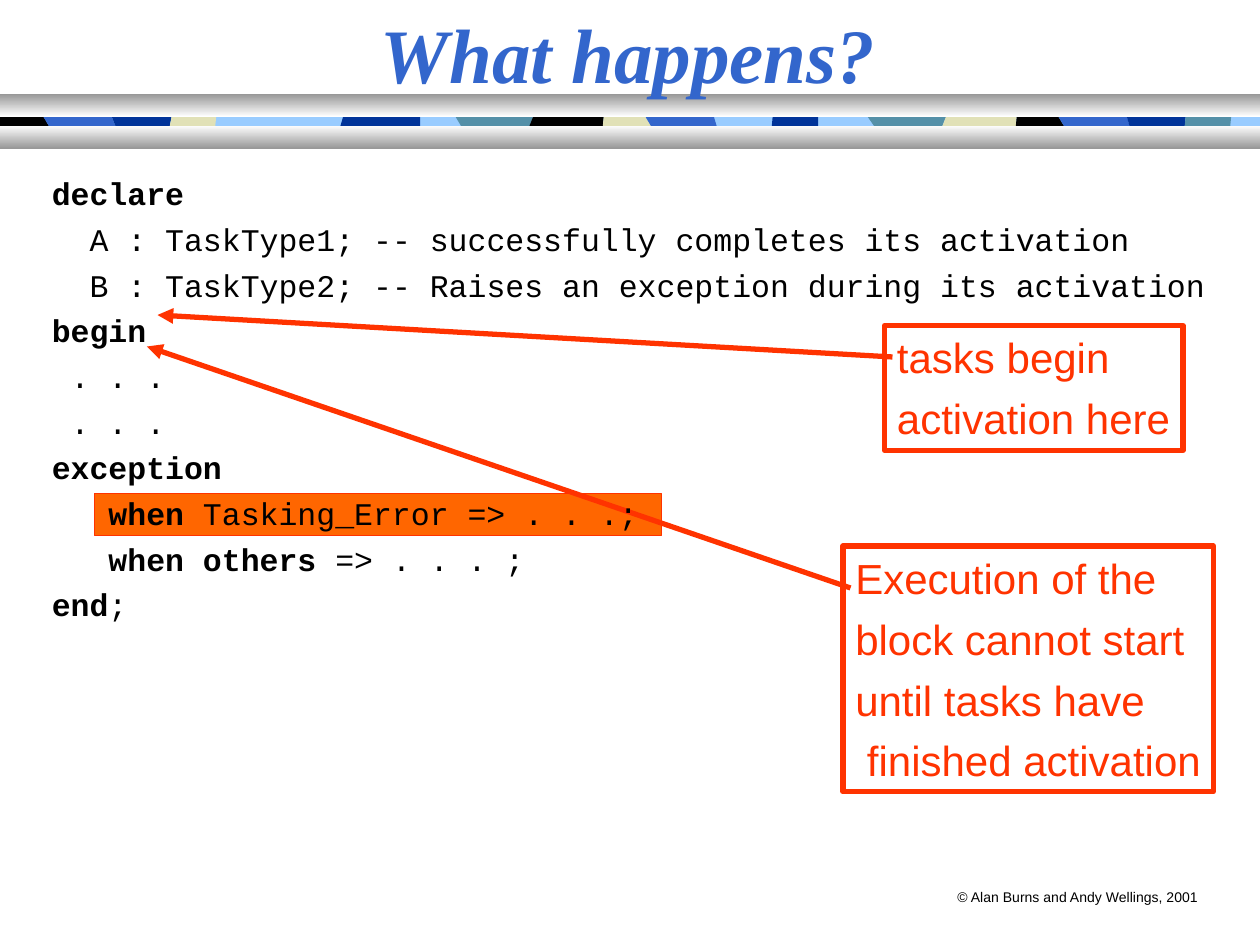
import pptx
import pptx.dml.color
import pptx.enum.dml
import pptx.enum.shapes
import pptx.enum.text
import pptx.oxml
import pptx.oxml.ns
import pptx.util

Pt = pptx.util.Pt
RGBColor = pptx.dml.color.RGBColor
qn = pptx.oxml.ns.qn

BLACK = RGBColor(0x00, 0x00, 0x00)
WHITE = RGBColor(0xFF, 0xFF, 0xFF)
GRAY = RGBColor(0x98, 0x98, 0x98)
SKY = RGBColor(0x99, 0xCC, 0xFF)
BLUE = RGBColor(0x33, 0x66, 0xCC)
NAVY = RGBColor(0x00, 0x33, 0x99)
TEAL = RGBColor(0x54, 0x90, 0xA8)
BEIGE = RGBColor(0xE1, 0xE1, 0xB7)
ORANGE = RGBColor(0xFF, 0x66, 0x00)
RED = RGBColor(0xFF, 0x33, 0x00)


def add_run(paragraph, text, font_name, size, color, bold=False, italic=False):
    run = paragraph.add_run()
    run.text = text
    run.font.name = font_name
    run.font.size = Pt(size)
    run.font.color.rgb = color
    run.font.bold = bold
    run.font.italic = italic


def add_rectangle(left, top, width, height):
    shape = slide.shapes.add_shape(
        pptx.enum.shapes.MSO_SHAPE.RECTANGLE, Pt(left), Pt(top), Pt(width), Pt(height))
    shape.shadow.inherit = False
    return shape


presentation = pptx.Presentation()
presentation.slide_width = Pt(720)
presentation.slide_height = Pt(540)
slide = presentation.slides.add_slide(presentation.slide_layouts[6])

strip_top, strip_bottom = 61.2, 81.4
strip = add_rectangle(0, strip_top, 720, strip_bottom - strip_top)
strip.fill.solid()
strip.fill.fore_color.rgb = SKY
strip.line.fill.background()

segments = [
    (BLACK, 25, 28), (BLUE, 64, 66), (NAVY, 98, 97), (BEIGE, 123.5, 123),
    (SKY, 196, 194.5), (NAVY, 240, 240), (SKY, 260.5, 263.5),
    (TEAL, 304.5, 302.5), (BLACK, 345, 344.5), (BEIGE, 369, 372),
    (BLUE, 408, 409.5), (SKY, 441.5, 441), (NAVY, 467.5, 467.5),
    (SKY, 496, 499.5), (TEAL, 540.5, 538.5), (BEIGE, 581, 580.5),
    (BLACK, 605, 608), (BLUE, 644, 645.5), (NAVY, 677.5, 677), (TEAL, 703.5, 703),
]
left_upper = left_lower = 0
for color, right_upper, right_lower in segments:
    if color != SKY:
        outline = [
            (left_upper, strip_top), (right_upper, strip_top),
            (right_upper, 67), (right_lower, 72),
            (right_lower, strip_bottom), (left_lower, strip_bottom),
            (left_lower, 72), (left_upper, 67),
        ]
        points = [(Pt(x), Pt(y)) for x, y in outline]
        builder = slide.shapes.build_freeform(*points[0], scale=1.0)
        builder.add_line_segments(points[1:], close=True)
        segment = builder.convert_to_shape()
        segment.shadow.inherit = False
        segment.fill.solid()
        segment.fill.fore_color.rgb = color
        segment.line.fill.background()
    left_upper, left_lower = right_upper, right_lower

for top, first_color, last_color in [(53.75, GRAY, WHITE), (71.75, WHITE, GRAY)]:
    bar = add_rectangle(0, top, 720, 13)
    bar.fill.gradient()
    bar.fill.gradient_angle = 270
    bar.fill.gradient_stops[0].color.rgb = first_color
    bar.fill.gradient_stops[1].color.rgb = last_color
    bar.line.fill.background()

footer = slide.shapes.add_textbox(Pt(540), Pt(504), Pt(152.6), Pt(17.3))
footer.text_frame.word_wrap = False
add_run(footer.text_frame.paragraphs[0], "© Alan Burns and Andy Wellings, 2001", "Arial", 8, BLACK)

highlight = add_rectangle(54, 282, 324, 24)
highlight.fill.solid()
highlight.fill.fore_color.rgb = ORANGE
highlight.line.color.rgb = RED
highlight.line.width = Pt(0.75)

title = slide.shapes.add_textbox(Pt(0), Pt(0), Pt(718), Pt(60))
title.text_frame.word_wrap = True
title.text_frame.vertical_anchor = pptx.enum.text.MSO_ANCHOR.MIDDLE
title.text_frame.paragraphs[0].alignment = pptx.enum.text.PP_ALIGN.CENTER
add_run(title.text_frame.paragraphs[0], "What happens?", "Times New Roman", 44, BLUE, True, True)

callouts = [
    ((90, 180), (510, 204), (505.5, 186, 170.6, 71.3),
     [("tasks begin", 0), ("activation here", 0)]),
    ((84, 198), (486, 336), (481.7, 312, 211.7, 140.4),
     [("Execution of the", 0), ("block cannot start", 0),
      ("until tasks have", 0), ("finished activation", 6.67)]),
]
for tip, tail, frame, lines in callouts:
    arrow = slide.shapes.add_connector(
        pptx.enum.shapes.MSO_CONNECTOR.STRAIGHT, *[Pt(value) for value in tip + tail])
    arrow.line.color.rgb = RED
    arrow.line.width = Pt(3)
    head = pptx.oxml.parse_xml(
        '<a:headEnd xmlns:a="http://schemas.openxmlformats.org/drawingml/2006/main" type="triangle"/>')
    arrow.line._get_or_add_ln().append(head)
    properties = arrow._element.spPr
    properties.append(properties.makeelement(qn("a:effectLst"), {}))

    box = add_rectangle(*frame)
    box.fill.background()
    box.line.color.rgb = RED
    box.line.width = Pt(3)
    text_frame = box.text_frame
    text_frame.word_wrap = False
    text_frame.vertical_anchor = pptx.enum.text.MSO_ANCHOR.TOP
    for index, (text, indent) in enumerate(lines):
        paragraph = text_frame.add_paragraph() if index else text_frame.paragraphs[0]
        paragraph.alignment = pptx.enum.text.PP_ALIGN.LEFT
        if index:
            paragraph.space_before = Pt(6)
        if indent:
            paragraph._p.get_or_add_pPr().set("marL", str(int(Pt(indent))))
        add_run(paragraph, text, "Arial", 24, RED)

code_lines = [
    [("declare", True)],
    [("  A : TaskType1; -- successfully completes its activation", False)],
    [("  B : TaskType2; -- Raises an exception during its activation", False)],
    [("begin", True)],
    [(" . . .", False)],
    [(" . . .", False)],
    [("exception", True)],
    [("   ", False), ("when ", True), ("Tasking_Error => . . .;", False)],
    [("   ", False), ("when others ", True), ("=> . . . ;", False)],
    [("end", True), (";", False)],
]
code = slide.shapes.add_textbox(Pt(22.5), Pt(96), Pt(673.2), Pt(264))
code.text_frame.word_wrap = False
for index, runs in enumerate(code_lines):
    paragraph = code.text_frame.add_paragraph() if index else code.text_frame.paragraphs[0]
    if index:
        paragraph.space_before = Pt(4.5)
    for text, bold in runs:
        add_run(paragraph, text, "Courier New", 18, BLACK, bold)

presentation.save("out.pptx")
